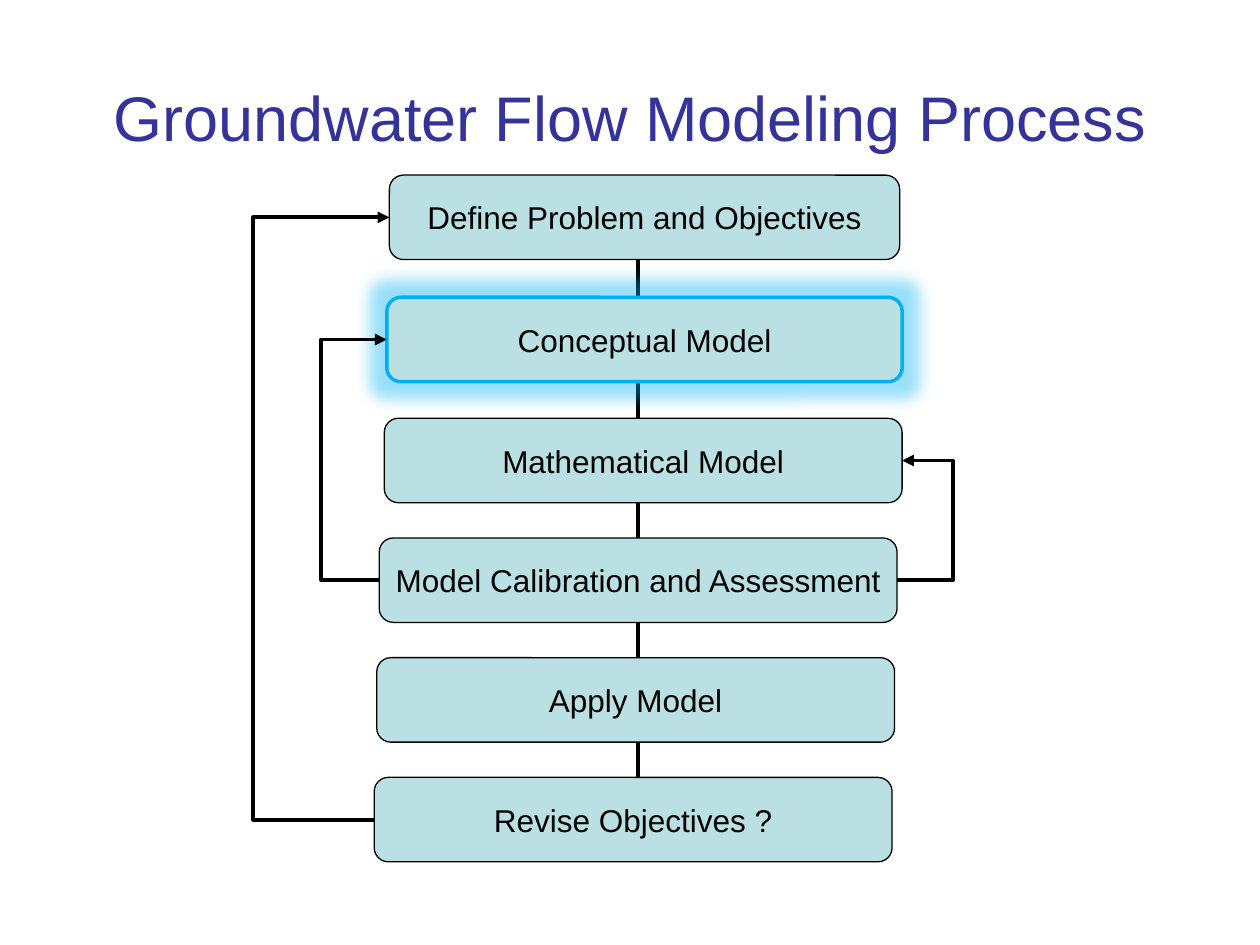
from lxml import etree
from pptx import Presentation
from pptx.dml.color import RGBColor
from pptx.enum import shapes, text
from pptx.oxml import ns
from pptx.util import Inches, Pt

TITLE = "Groundwater Flow Modeling Process"
BOX_HEIGHT = 0.67
# label, left, top, width
STEPS = [
    ("Define Problem and Objectives", 3.09, 1.39, 4.05),
    ("Conceptual Model", 3.07, 2.36, 4.09),
    ("Mathematical Model", 3.05, 3.32, 4.11),
    ("Model Calibration and Assessment", 3.01, 4.27, 4.11),
    ("Apply Model", 2.99, 5.22, 4.11),
    ("Revise Objectives ?", 2.97, 6.17, 4.11),
]
CURRENT_STEP = "Conceptual Model"
LEFT, RIGHT = 1, 3
# from step, to step, side, x of the vertical run
FEEDBACK_LOOPS = [
    (5, 0, LEFT, 2.01),
    (3, 1, LEFT, 2.55),
    (3, 2, RIGHT, 7.56),
]
SPINE_X, SPINE_BOTTOM = 5.06, 6.57
BLACK, TITLE_BLUE, BOX_FILL, HIGHLIGHT = "000000", "333399", "BBE0E3", "00B0F0"


def rgb(value):
    return RGBColor.from_string(value)


def add_xml(parent, tag, **attributes):
    return etree.SubElement(parent, ns.qn(tag), attributes)


def style_text(paragraph, size, color):
    paragraph.alignment = text.PP_ALIGN.CENTER
    for run in paragraph.runs:
        run.font.name = "Arial"
        run.font.size = Pt(size)
        run.font.color.rgb = rgb(color)


def add_line(slide, kind, *ends):
    line = slide.shapes.add_connector(kind, *map(Inches, ends))
    line.line.color.rgb = rgb(BLACK)
    line.line.width = Pt(2.25)
    return line


def remove_shadow(line):
    add_xml(line._element.spPr, "a:effectLst")


def add_glow(box):
    effects = box._element.spPr.find(ns.qn("a:effectLst"))
    glow = add_xml(effects, "a:glow", rad=str(Pt(18)))
    color = add_xml(glow, "a:srgbClr", val=HIGHLIGHT)
    add_xml(color, "a:alpha", val="40000")


def add_step(slide, label, left, top, width):
    box = slide.shapes.add_shape(
        shapes.MSO_SHAPE.FLOWCHART_ALTERNATE_PROCESS,
        *map(Inches, (left, top, width, BOX_HEIGHT)))
    box.shadow.inherit = False
    box.fill.solid()
    box.fill.fore_color.rgb = rgb(BOX_FILL)
    current = label == CURRENT_STEP
    box.line.color.rgb = rgb(HIGHLIGHT if current else BLACK)
    box.line.width = Pt(2 if current else 0.75)
    if current:
        add_glow(box)
    frame = box.text_frame
    frame.text = label
    frame.word_wrap = False
    frame.vertical_anchor = text.MSO_ANCHOR.MIDDLE
    style_text(frame.paragraphs[0], 18, BLACK)
    return box


def add_loop(slide, source, target, side, run_x):
    """Join two steps on one side, with the vertical run at run_x."""
    loop = add_line(slide, shapes.MSO_CONNECTOR.ELBOW, 0, 0, 1, 1)
    loop.begin_connect(source, side)
    loop.end_connect(target, side)
    ratio = (Inches(run_x) - loop.begin_x) / (loop.end_x - loop.begin_x)
    guides = loop._element.spPr.find(ns.qn("a:prstGeom")).get_or_add_avLst()
    add_xml(guides, "a:gd", name="adj1", fmla=f"val {round(ratio * 100000)}")
    add_xml(loop.line._get_or_add_ln(), "a:tailEnd", type="triangle")
    remove_shadow(loop)


def main():
    deck = Presentation()
    deck.slide_width, deck.slide_height = Inches(10), Inches(7.5)
    slide = deck.slides.add_slide(deck.slide_layouts[5])

    title = slide.shapes.title
    title.left, title.top, title.width, title.height = map(Inches, (0.5, 0.3, 9, 1.25))
    title.text_frame.text = TITLE
    title.text_frame.vertical_anchor = text.MSO_ANCHOR.MIDDLE
    style_text(title.text_frame.paragraphs[0], 36, TITLE_BLUE)

    spine = add_line(slide, shapes.MSO_CONNECTOR.STRAIGHT,
                     SPINE_X, STEPS[0][2], SPINE_X, SPINE_BOTTOM)
    remove_shadow(spine)
    boxes = [add_step(slide, *step) for step in STEPS]
    for source, target, side, run_x in FEEDBACK_LOOPS:
        add_loop(slide, boxes[source], boxes[target], side, run_x)

    deck.save("out.pptx")


if __name__ == "__main__":
    main()
